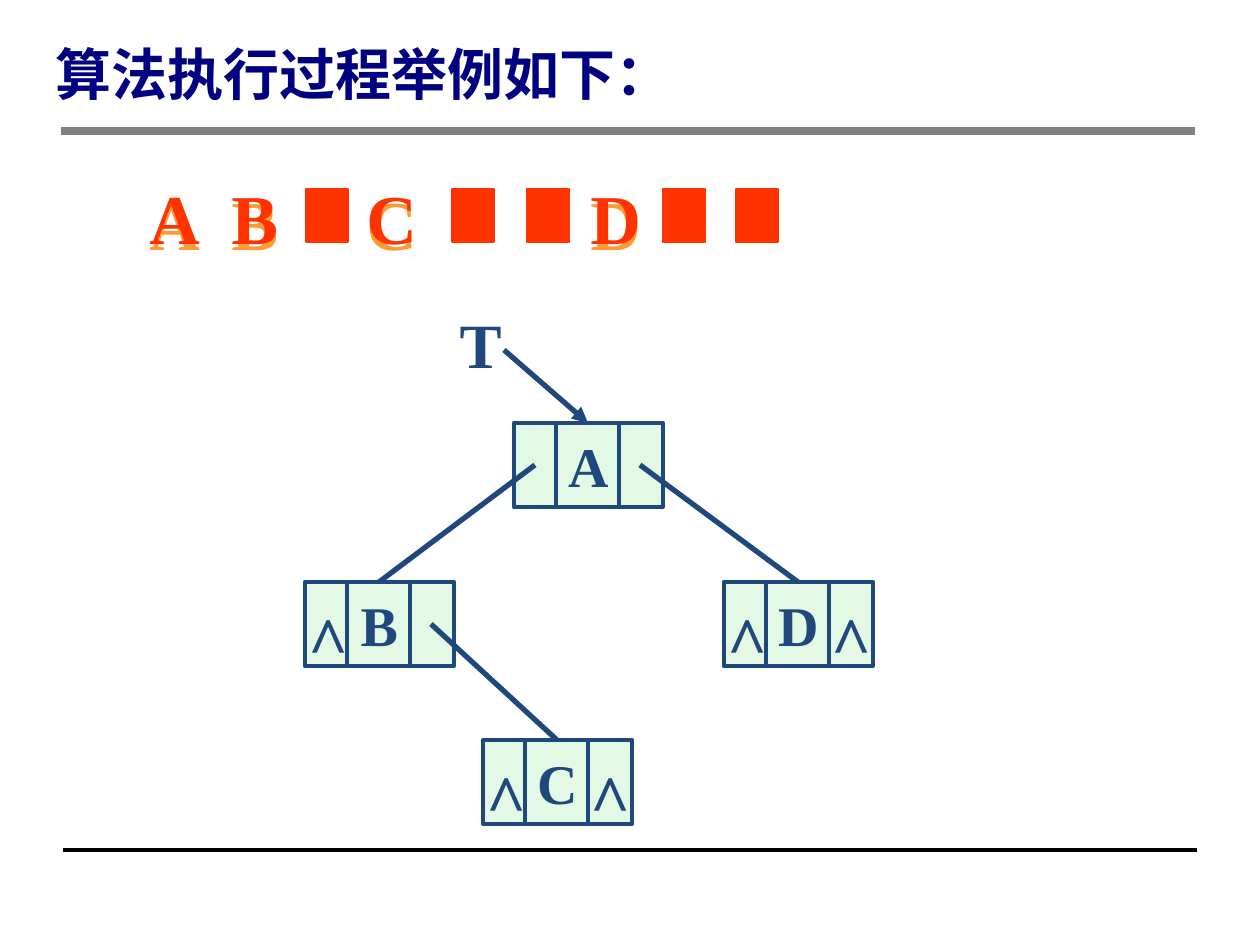
from lxml.etree import SubElement
from pptx import Presentation
from pptx.dml.color import RGBColor
from pptx.enum.shapes import MSO_CONNECTOR as CONN, MSO_SHAPE as SHAPE
from pptx.enum.text import MSO_ANCHOR as ANCHOR, PP_ALIGN as ALIGN
from pptx.oxml.ns import qn
from pptx.util import Emu, Pt

TITLE = "算法执行过程举例如下："
SERIF, SANS = "Times New Roman", "Noto Sans CJK SC"
NAVY, BLUE, GREEN = "000080", "1F497D", "CAF2CE"
RED, ORANGE, GRAY, BLACK = "FF3300", "FF9933", "808080", "000000"

RULES = [(63, 850, 1197, 850, BLACK, 2), (61, 131, 1195, 131, GRAY, 5)]
LETTERS = [("A", 137, 76), ("B", 219, 72), ("C", 354, 76), ("D", 578, 76)]
BLANKS = [306, 452, 527, 663, 736]
NODES = {"A": (514, 423), "B": (305, 582), "C": (483, 740), "D": (724, 582)}
CHILDREN = {"A": ("B", "D"), "B": (None, "C"), "C": (None, None), "D": (None, None)}
NODE_W, NODE_H = 149, 84
DIVIDERS = (42, 105)
LINK_X = (21, 126)
CARET_X = (-10, 94)


def px(n):
    return Emu(round(n * 914400 / 126))


def rgb(color):
    return RGBColor.from_string(color)


def write(tf, text, size, color, font=SERIF, align=ALIGN.LEFT, spacing=None):
    p = tf.paragraphs[0]
    p.alignment = align
    if spacing:
        p.line_spacing = spacing
    r = p.add_run()
    r.text = text
    for name, value in {"size": Pt(size), "bold": True, "name": font}.items():
        setattr(r.font, name, value)
    r.font.color.rgb = rgb(color)
    SubElement(r.font._element, qn("a:ea")).set("typeface", font)
    return p


def text(s, box, label, size, color, wrap=False, anchor=ANCHOR.TOP, **fmt):
    tf = s.shapes.add_textbox(*map(px, box)).text_frame
    tf.word_wrap, tf.vertical_anchor = wrap, anchor
    return write(tf, label, size, color, **fmt)


def rect(s, box, fill, line, width):
    sp = s.shapes.add_shape(SHAPE.RECTANGLE, *map(px, box))
    sp.shadow.inherit = False
    sp.fill.solid()
    sp.fill.fore_color.rgb = rgb(fill)
    sp.line.color.rgb = rgb(line)
    sp.line.width = Pt(width)
    return sp


def line(s, x1, y1, x2, y2, color, width, arrow=False):
    c = s.shapes.add_connector(CONN.STRAIGHT, *map(px, (x1, y1, x2, y2)))
    c.line.color.rgb = rgb(color)
    c.line.width = Pt(width)
    if arrow:
        SubElement(c.line._get_or_add_ln(), qn("a:tailEnd")).set("type", "triangle")
    SubElement(c._element.spPr, qn("a:effectLst"))


def sequence(s):
    start = LETTERS[0][1]
    labels = "\t".join(label for label, _, _ in LETTERS)
    p = text(s, (start, 158, 840, 106), labels, 40, ORANGE, wrap=True, spacing=1.2)
    tabs = SubElement(p._p.get_or_add_pPr(), qn("a:tabLst"))
    for _, x, _ in LETTERS[1:]:
        tab = SubElement(tabs, qn("a:tab"))
        tab.set("pos", str(px(x - start)))
        tab.set("algn", "l")
    for x in BLANKS:
        rect(s, (x, 189, 42, 53), RED, RED, 1)
    for label, x, w in LETTERS:
        text(s, (x, 168, w, 97), label, 40, RED)


def node(s, label, x, y):
    sp = rect(s, (x, y, NODE_W, NODE_H), GREEN, BLUE, 2.5)
    color = sp.fill._xPr.find(qn("a:solidFill"))[0]
    SubElement(color, qn("a:alpha")).set("val", "50000")
    sp.text_frame.vertical_anchor = ANCHOR.MIDDLE
    write(sp.text_frame, label, 32, BLUE, align=ALIGN.CENTER)
    for dx in DIVIDERS:
        line(s, x + dx, y, x + dx, y + NODE_H, BLUE, 2.25)


def links(s, x, y, children):
    for child, link_x, caret_x in zip(children, LINK_X, CARET_X):
        if child:
            cx, cy = NODES[child]
            line(s, x + link_x, y + NODE_H // 2, cx + NODE_W // 2, cy, BLUE, 3)
        else:
            text(s, (x + caret_x, y + 8, 66, 97), "^", 40, BLUE, align=ALIGN.RIGHT)


def main():
    """Build the slide that traces the creation of a binary tree."""
    prs = Presentation()
    prs.slide_width, prs.slide_height = px(1260), px(945)
    s = prs.slides.add_slide(prs.slide_layouts[6])
    for rule in RULES:
        line(s, *rule)
    sequence(s)
    text(s, (43, 34, 764, 76), TITLE, 32, NAVY, wrap=True, anchor=ANCHOR.MIDDLE,
         font=SANS, spacing=Pt(40))
    for label, (x, y) in NODES.items():
        node(s, label, x, y)
    for label, (x, y) in NODES.items():
        links(s, x, y, CHILDREN[label])
    root_x, root_y = NODES["A"]
    line(s, 504, 350, root_x + NODE_W // 2, root_y, BLUE, 3, arrow=True)
    text(s, (447, 299, 67, 88), "T", 36, BLUE, align=ALIGN.RIGHT)
    prs.save("out.pptx")


if __name__ == "__main__":
    main()
